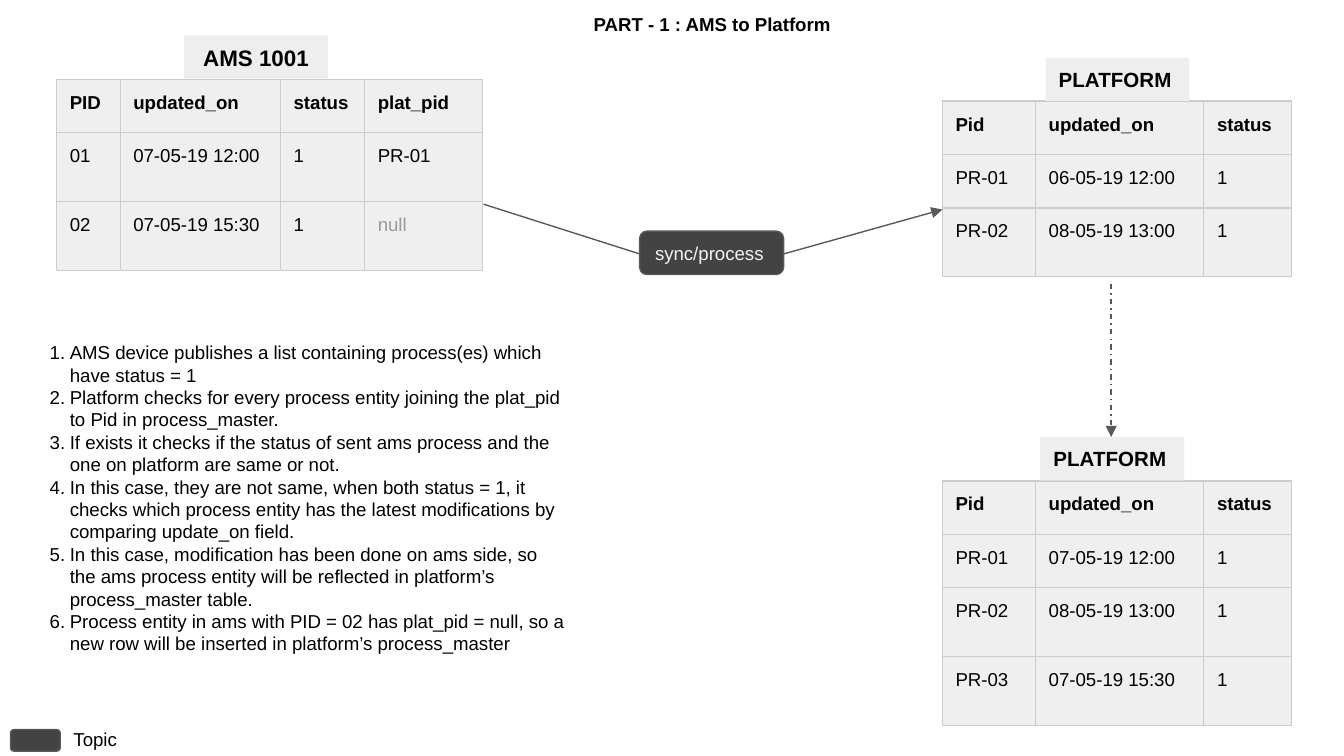
from lxml import etree
from pptx import Presentation
from pptx.dml.color import RGBColor
from pptx.enum.dml import MSO_LINE
from pptx.enum.shapes import MSO_CONNECTOR, MSO_SHAPE
from pptx.enum.text import MSO_ANCHOR, MSO_AUTO_SIZE, PP_ALIGN
from pptx.oxml.ns import qn
from pptx.util import Cm, Pt

BLACK = RGBColor(0x00, 0x00, 0x00)
CELL_GRAY = RGBColor(0xEF, 0xEF, 0xEF)
LABEL_GRAY = RGBColor(0xEE, 0xEE, 0xEE)
BORDER_GRAY = RGBColor(0xCC, 0xCC, 0xCC)
NULL_GRAY = RGBColor(0x99, 0x99, 0x99)
TOPIC_FILL = RGBColor(0x43, 0x43, 0x43)
TOPIC_TEXT = RGBColor(0xF3, 0xF3, 0xF3)
LINE_GRAY = RGBColor(0x59, 0x59, 0x59)

RECTANGLE = MSO_SHAPE.RECTANGLE
ROUNDED = MSO_SHAPE.ROUNDED_RECTANGLE
STRAIGHT = MSO_CONNECTOR.STRAIGHT
DASH_DOT = MSO_LINE.DASH_DOT
TOP, MIDDLE = MSO_ANCHOR.TOP, MSO_ANCHOR.MIDDLE
LEFT = PP_ALIGN.LEFT
NO_AUTOFIT = MSO_AUTO_SIZE.NONE

FONT = "Arial"
INSET = Cm(0.25)
THIN = Pt(0.75)
SHORT_ROW, TALL_ROW = 1.01, 1.3
LABEL_SIZE = (2.72, 0.82)
AMS_COLUMNS = (1.2, 3.03, 1.59, 2.23)
PLATFORM_COLUMNS = (1.76, 3.18, 1.66)

AMS_ROWS = [
    ("PID", "updated_on", "status", "plat_pid"),
    ("01", "07-05-19 12:00", "1", "PR-01"),
    ("02", "07-05-19 15:30", "1", "null"),
]
PLATFORM_HEADER = ("Pid", "updated_on", "status")
BEFORE_ROWS = [
    PLATFORM_HEADER,
    ("PR-01", "06-05-19 12:00", "1"),
    ("PR-02", "08-05-19 13:00", "1"),
]
AFTER_ROWS = [
    PLATFORM_HEADER,
    ("PR-01", "07-05-19 12:00", "1"),
    ("PR-02", "08-05-19 13:00", "1"),
    ("PR-03", "07-05-19 15:30", "1"),
]
STEPS = [
    "AMS device publishes a list containing process(es) which\vhave status = 1",
    "Platform checks for every process entity joining the plat_pid\v"
    "to Pid in process_master.",
    "If exists it checks if the status of sent ams process and the\v"
    "one on platform are same or not.",
    "In this case, they are not same, when both status = 1, it\v"
    "checks which process entity has the latest modifications by\v"
    "comparing update_on field.",
    "In this case, modification has been done on ams side, so\v"
    "the ams process entity will be reflected in platform’s\v"
    "process_master table.",
    "Process entity in ams with PID = 02 has plat_pid = null, so a\v"
    "new row will be inserted in platform’s process_master",
]


def style_para(para, size=10, color=BLACK, bold=False):
    """Apply the slide's font and left alignment to a paragraph."""
    para.alignment = LEFT
    para.font.name = FONT
    para.font.size = Pt(size)
    para.font.bold = bold
    para.font.color.rgb = color


def set_frame(frame, anchor=TOP):
    """Give a text frame wrapping, even insets and an anchor."""
    frame.auto_size = NO_AUTOFIT
    frame.word_wrap = True
    frame.vertical_anchor = anchor
    frame.margin_left = frame.margin_right = INSET
    frame.margin_top = frame.margin_bottom = INSET


def place(shape, left, top, width, height):
    """Move and size a placeholder."""
    shape.left, shape.top = Cm(left), Cm(top)
    shape.width, shape.height = Cm(width), Cm(height)


def add_title(page, text):
    """Fill the title placeholder."""
    title = page.shapes.title
    place(title, 10.97, 0, 6.32, 1.09)
    set_frame(title.text_frame)
    title.text_frame.text = text
    style_para(title.text_frame.paragraphs[0], bold=True)


def add_steps(page, steps):
    """Fill the body placeholder with a numbered list."""
    body = page.placeholders[1]
    place(body, 0.69, 6.2, 10.4, 7.87)
    frame = body.text_frame
    set_frame(frame)
    for index, step in enumerate(steps):
        para = frame.add_paragraph() if index else frame.paragraphs[0]
        para.text = step
        style_para(para)
        para.space_before = para.space_after = Pt(0)
        para.line_spacing = Pt(12)
        properties = para._p.get_or_add_pPr()
        properties.set("marL", str(Cm(0.38)))
        properties.set("indent", str(-Cm(0.38)))
        etree.SubElement(properties, qn("a:buFont"), typeface=FONT)
        etree.SubElement(properties, qn("a:buAutoNum"), type="arabicPeriod")


def add_borders(cell):
    """Draw thin gray borders on all four sides of a cell."""
    properties = cell._tc.get_or_add_tcPr()
    for side in ("lnL", "lnR", "lnT", "lnB"):
        line = etree.SubElement(properties, qn(f"a:{side}"), w=str(THIN))
        fill = etree.SubElement(line, qn("a:solidFill"))
        etree.SubElement(fill, qn("a:srgbClr"), val=str(BORDER_GRAY))


def add_records(page, left, top, columns, heights, rows):
    """Add a table of records with a bold header row."""
    frame = page.shapes.add_table(len(rows), len(columns), Cm(left), Cm(top),
                                  Cm(sum(columns)), Cm(sum(heights)))
    table = frame.table
    table.first_row = table.horz_banding = False
    for column, width in zip(table.columns, columns):
        column.width = Cm(width)
    for row_index, (row, height) in enumerate(zip(rows, heights)):
        table.rows[row_index].height = Cm(height)
        for column_index, text in enumerate(row):
            cell = table.cell(row_index, column_index)
            cell.text = text
            cell.margin_left = cell.margin_right = INSET
            cell.margin_top = cell.margin_bottom = INSET
            add_borders(cell)
            cell.fill.solid()
            cell.fill.fore_color.rgb = CELL_GRAY
            style_para(cell.text_frame.paragraphs[0], bold=row_index == 0,
                       color=NULL_GRAY if text == "null" else BLACK)


def add_box(page, kind, left, top, width, height, fill, outline=None):
    """Add a filled shape, outlined only if a colour is given."""
    box = page.shapes.add_shape(kind, Cm(left), Cm(top), Cm(width), Cm(height))
    box.shadow.inherit = False
    box.fill.solid()
    box.fill.fore_color.rgb = fill
    if outline is None:
        box.line.fill.background()
    else:
        box.line.color.rgb = outline
        box.line.width = THIN
    set_frame(box.text_frame, MIDDLE)
    return box


def add_label(page, left, top, text, size):
    """Add the name tag above a table."""
    box = add_box(page, RECTANGLE, left, top, *LABEL_SIZE, LABEL_GRAY)
    box.text_frame.text = text
    style_para(box.text_frame.paragraphs[0], size, bold=True)
    return box


def add_link(page, start, end, arrow=True, dash=None):
    """Add a straight connector, with an arrowhead at its end if wanted."""
    link = page.shapes.add_connector(STRAIGHT, *map(Cm, start + end))
    link.line.color.rgb = LINE_GRAY
    link.line.width = THIN
    if dash is not None:
        link.line.dash_style = dash
    if arrow:
        etree.SubElement(link.line._get_or_add_ln(), qn("a:tailEnd"), type="triangle")
    etree.SubElement(link._element.spPr, qn("a:effectLst"))


def add_legend(page):
    """Add the topic swatch and its caption."""
    add_box(page, ROUNDED, 0.2, 13.79, 0.94, 0.41, TOPIC_FILL, LINE_GRAY)
    caption = page.shapes.add_textbox(Cm(1.14), Cm(13.51), Cm(1.65), Cm(0.79))
    set_frame(caption.text_frame)
    caption.text_frame.text = "Topic"
    style_para(caption.text_frame.paragraphs[0])


def main():
    """Build the sync slide and save it."""
    deck = Presentation()
    deck.slide_width, deck.slide_height = Cm(25.4), Cm(14.29)
    page = deck.slides.add_slide(deck.slide_layouts[1])
    add_title(page, "PART - 1 : AMS to Platform")
    add_steps(page, STEPS)
    add_records(page, 1.07, 1.5, AMS_COLUMNS, (SHORT_ROW, TALL_ROW, TALL_ROW), AMS_ROWS)
    add_records(page, 17.81, 1.91, PLATFORM_COLUMNS,
                (SHORT_ROW, SHORT_ROW, TALL_ROW), BEFORE_ROWS)
    add_records(page, 17.81, 9.09, PLATFORM_COLUMNS,
                (SHORT_ROW, SHORT_ROW, TALL_ROW, TALL_ROW), AFTER_ROWS)
    ams_label = add_label(page, 3.48, 0.67, "AMS 1001", 12)
    ams_label.text_frame.margin_left = Cm(0.36)
    add_label(page, 19.76, 1.09, "PLATFORM", 11)
    add_label(page, 19.66, 8.26, "PLATFORM", 11)
    sync = add_box(page, ROUNDED, 12.09, 4.37, *LABEL_SIZE, TOPIC_FILL, LINE_GRAY)
    sync.text_frame.text = "sync/process"
    style_para(sync.text_frame.paragraphs[0], color=TOPIC_TEXT)
    add_link(page, (9.14, 3.86), (12.09, 4.8), arrow=False)
    add_link(page, (14.81, 4.8), (17.81, 3.96))
    add_link(page, (21, 5.36), (21, 8.26), dash=DASH_DOT)
    add_legend(page)
    deck.save("out.pptx")


main()
